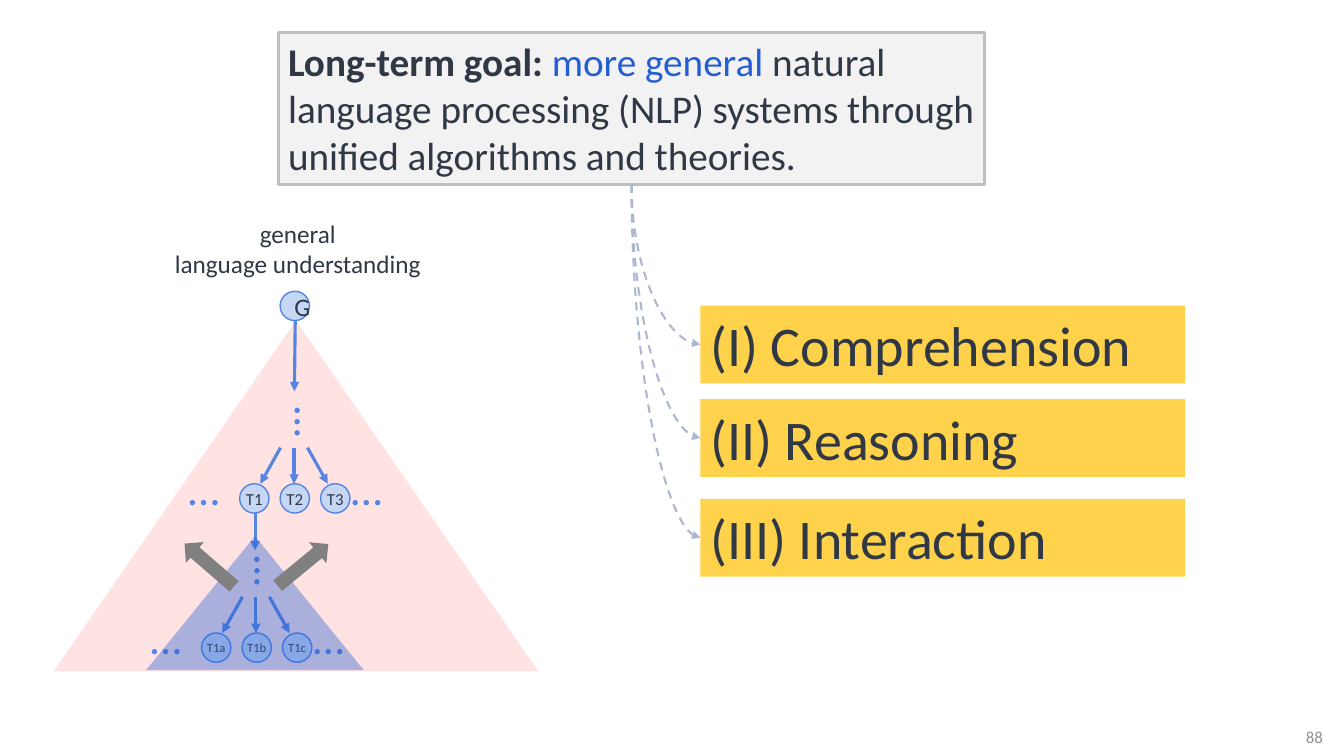
import pptx
import pptx.util
import pptx.dml.color
import pptx.enum.dml
import pptx.enum.shapes
import pptx.enum.text
import pptx.oxml
import pptx.oxml.ns
from pptx.util import Cm, Pt

SHAPE = pptx.enum.shapes.MSO_SHAPE
LINK = pptx.enum.shapes.MSO_CONNECTOR
ANCHOR = pptx.enum.text.MSO_ANCHOR
ALIGN = pptx.enum.text.PP_ALIGN
qn = pptx.oxml.ns.qn

# Content
COLORS = {
    "ink": "303845", "accent": "245ED4", "panel": "F2F2F2", "frame": "BFBFBF",
    "wide": "FF0000", "narrow": "255ED3", "node": "C6D6F5", "rim": "5485E1",
    "dots": "5485E2", "arrow": "5685E1", "spread": "808080", "bar": "FFC000",
    "curve": "AEB7D0", "number": "8F9194",
}
GOAL = [
    ("Long-term goal: ", "ink", True),
    ("more general ", "accent", False),
    ("natural language processing (NLP) systems through unified algorithms and theories.", "ink", False),
]
ROOT_LABEL = ["general", "language understanding"]
# Node names, left of the middle node, top of the row, text size
TASK_ROWS = [
    (["T1", "T2", "T3"], 7.06, 12.19, 12),
    (["T1a", "T1b", "T1c"], 6.1, 15.95, 9),
]
VERTICAL_DOTS = [(7.11, 10.64), (6.1, 14.4)]
STEMS = [(7.44, 8.08, 7.42, 9.86), (6.43, 12.93, 6.43, 13.87)]
SPREAD_ARROWS = [(4.45, 220.8), (6.81, 320.6)]
THEMES = [("(I) Comprehension", 7.7), ("(II) Reasoning", 10.06), ("(III) Interaction", 12.57)]
SLIDE_NUMBER = "88"

# Measures in centimetres
NODE, NODE_STEP = 0.74, 1.02
FAN_RISE, FAN_START, FAN_END = 0.91, 0.34, 0.85
DOTS_W, DOTS_H = 2.18, 1.63
GOAL_BOX = (7.01, 0.81, 17.81, 3.84)
BAR_LEFT, BAR_W, BAR_H = 17.65, 12.22, 1.96

deck = pptx.Presentation()
deck.slide_width, deck.slide_height = Cm(33.87), Cm(19.05)
slide = deck.slides.add_slide(deck.slide_layouts[6])


def rgb(name):
    return pptx.dml.color.RGBColor.from_string(COLORS[name])


def add_run(paragraph, text, size, color="ink", bold=False):
    run = paragraph.add_run()
    run.text = text
    run.font.name, run.font.size, run.font.bold = "Calibri", Pt(size), bold
    run.font.color.rgb = rgb(color)


def add_block(kind, box, fill, opacity=None, line=None, line_width=1, rotation=0):
    block = slide.shapes.add_shape(kind, *map(Cm, box))
    block.shadow.inherit = False
    block.rotation = rotation
    block.fill.solid()
    block.fill.fore_color.rgb = rgb(fill)
    if opacity:
        shade = block.fill._xPr.find(qn("a:solidFill"))[0]
        shade.append(pptx.oxml.parse_xml(
            '<a:alpha xmlns:a="http://schemas.openxmlformats.org/drawingml/2006/main" '
            f'val="{opacity * 1000}"/>'))
    if line:
        block.line.color.rgb = rgb(line)
        block.line.width = Pt(line_width)
    else:
        block.line.fill.background()
    block.text_frame.vertical_anchor = ANCHOR.TOP
    block.text_frame.paragraphs[0].alignment = ALIGN.LEFT
    return block


def add_label(box, lines, size, color="ink", wrap=True, anchor=ANCHOR.TOP, rotation=0):
    label = slide.shapes.add_textbox(*map(Cm, box))
    label.rotation = rotation
    label.text_frame.word_wrap = wrap
    label.text_frame.vertical_anchor = anchor
    paragraph = label.text_frame.paragraphs[0]
    paragraph.alignment = ALIGN.CENTER
    for index, line in enumerate(lines):
        if index:
            paragraph.add_line_break()
        add_run(paragraph, line, size, color)


def add_dots(center_x, center_y, rotation=0):
    box = (center_x - DOTS_W / 2, center_y - DOTS_H / 2, DOTS_W, DOTS_H)
    add_label(box, ["…"], 32, "dots", rotation=rotation)


def add_node(name, left, top, size, tight=True):
    node = add_block(SHAPE.OVAL, (left, top, NODE, NODE), "node", line="rim")
    frame = node.text_frame
    frame.vertical_anchor = ANCHOR.MIDDLE
    if tight:
        frame.margin_left = frame.margin_right = frame.margin_top = frame.margin_bottom = 0
    frame.paragraphs[0].alignment = ALIGN.CENTER
    add_run(frame.paragraphs[0], name, size)


def add_arrow(kind, ends, color, width):
    arrow = slide.shapes.add_connector(kind, *map(Cm, ends))
    arrow.line.color.rgb = rgb(color)
    arrow.line.width = Pt(width)
    props = arrow._element.spPr
    props.append(props.makeelement(qn("a:effectLst"), {}))
    line = arrow.line._get_or_add_ln()
    line.append(line.makeelement(qn("a:tailEnd"), {"type": "triangle"}))
    return arrow


# Slide number and long-term goal
add_label((32.39, 18.06, 1.47, 1.02), [SLIDE_NUMBER], 12, "number", anchor=ANCHOR.MIDDLE)
goal = add_block(SHAPE.RECTANGLE, GOAL_BOX, "panel", line="frame", line_width=2.25)
for text, color, bold in GOAL:
    add_run(goal.text_frame.paragraphs[0], text, 28, color, bold)

# Wide triangle with the general root
add_block(SHAPE.ISOSCELES_TRIANGLE, (1.35, 8.08, 12.22, 8.84), "wide", opacity=11)
add_label((4.04, 5.38, 6.93, 1.8), ROOT_LABEL, 18, wrap=False)
add_node("G", 7.06, 7.34, 18, tight=False)

# Task rows, each under a fan of arrows
for names, middle_left, row_top, size in TASK_ROWS:
    for dots_offset in (-1.92, 2.18):
        add_dots(middle_left + dots_offset, row_top + 0.1)
    fan_x = middle_left + 0.35
    for side, name in zip((-1, 0, 1), names):
        add_node(name, middle_left + side * NODE_STEP, row_top, size)
        add_arrow(LINK.STRAIGHT, (fan_x + side * FAN_START, row_top - FAN_RISE,
                                  fan_x + side * FAN_END, row_top), "arrow", 2.25)
for center in VERTICAL_DOTS:
    add_dots(*center, rotation=270)
for stem in STEMS:
    add_arrow(LINK.STRAIGHT, stem, "arrow", 2.25)

# Narrow triangle and the arrows that widen it
add_block(SHAPE.ISOSCELES_TRIANGLE, (3.68, 13.51, 5.49, 3.38), "narrow", opacity=39)
for left, angle in SPREAD_ARROWS:
    add_block(SHAPE.RIGHT_ARROW, (left, 13.89, 1.65, 0.69), "spread", rotation=angle)

# Themes, each reached by a curve from the goal
goal_x = GOAL_BOX[0] + GOAL_BOX[2] / 2
goal_bottom = GOAL_BOX[1] + GOAL_BOX[3]
for title, top in THEMES:
    bar = add_block(SHAPE.RECTANGLE, (BAR_LEFT, top, BAR_W, BAR_H), "bar", opacity=70)
    add_run(bar.text_frame.paragraphs[0], title, 40)
    across, down = BAR_LEFT - goal_x, top + BAR_H / 2 - goal_bottom
    mid_x, mid_y = goal_x + across / 2, goal_bottom + down / 2
    # Quarter curve laid flat and mirrored, then turned to leave downwards
    curve = add_arrow(LINK.CURVE, (mid_x + down / 2, mid_y - across / 2,
                                   mid_x - down / 2, mid_y + across / 2), "curve", 1.5)
    curve.line.dash_style = pptx.enum.dml.MSO_LINE.DASH
    curve._element.spPr.find(qn("a:xfrm")).set("rot", str(270 * 60000))
    curve._element.spPr.find(qn("a:prstGeom")).set("prst", "curvedConnector2")

deck.save("out.pptx")
